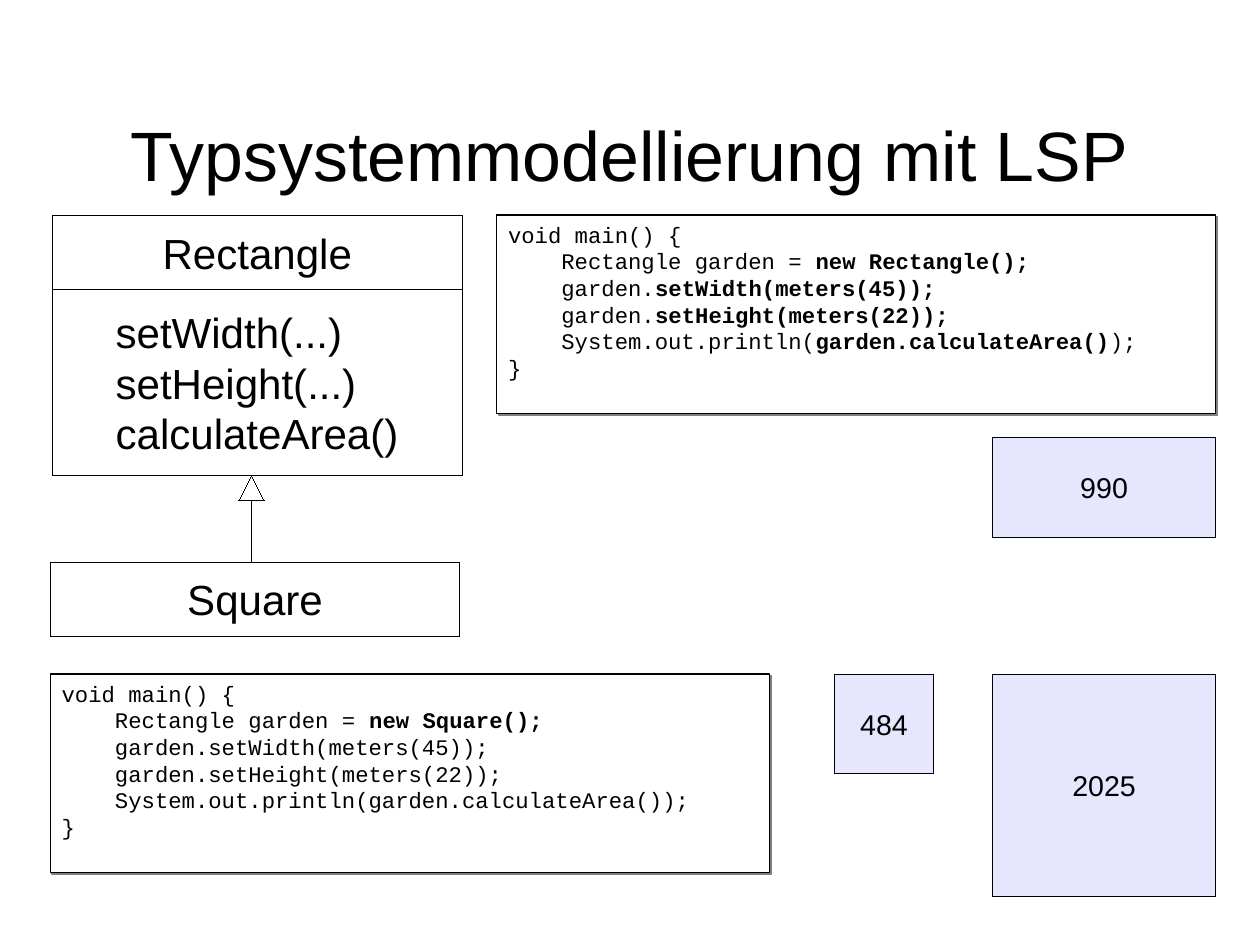
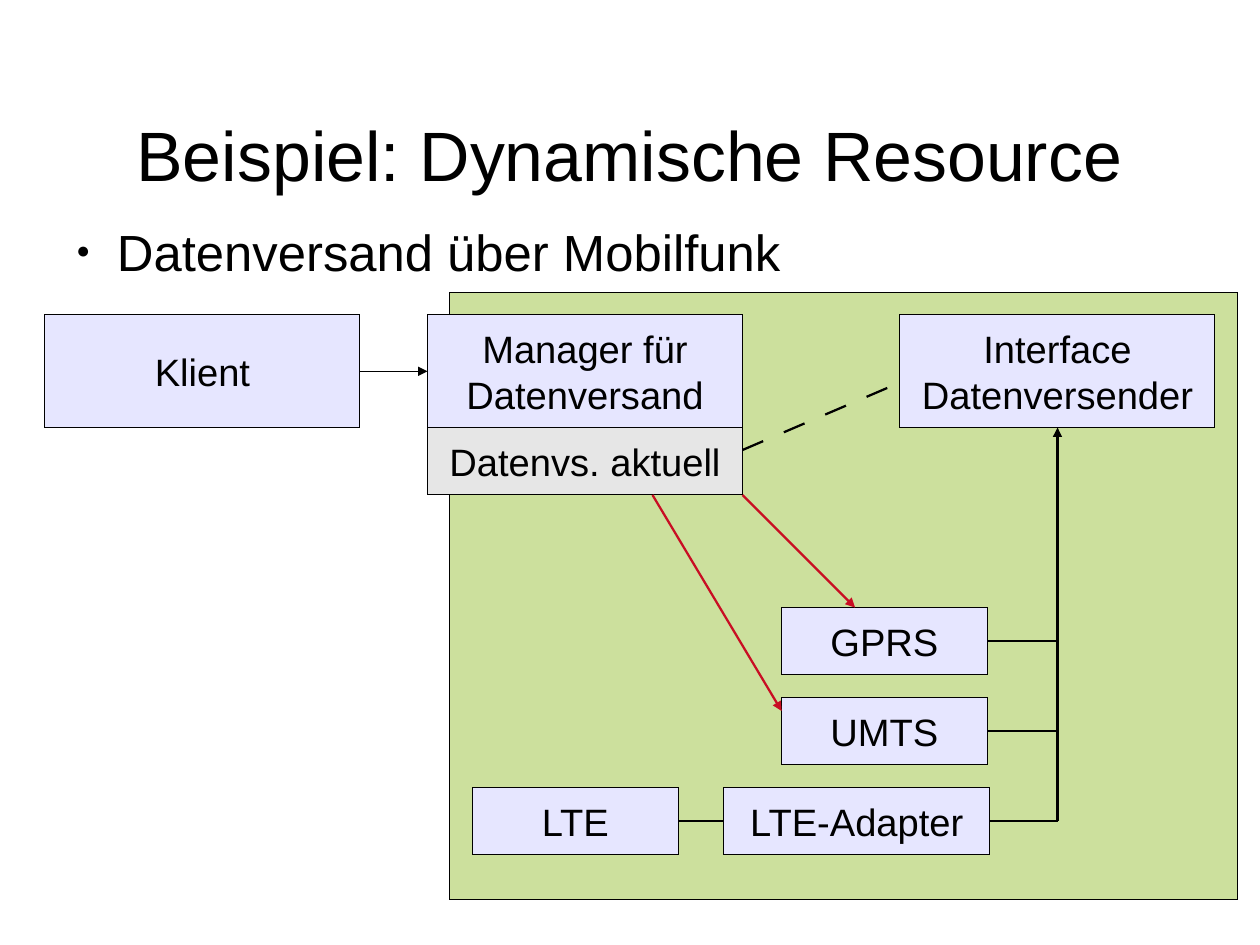
from dataclasses import dataclass
from typing import NamedTuple

from lxml.etree import SubElement
from pptx import Presentation
from pptx.dml.color import RGBColor
from pptx.enum.shapes import MSO_CONNECTOR as Link, MSO_SHAPE as Preset
from pptx.enum.text import MSO_ANCHOR as Anchor, PP_ALIGN as Align
from pptx.oxml.ns import qn
from pptx.util import Pt

PX = 3600
COLORS = {
    "ink": "000000",
    "paper": "FFFFFF",
    "lavender": "E6E6FF",
    "grey": "E6E6E6",
    "green": "9AC33D",
    "red": "C80E23",
    "shadow": "808080",
}
SANS, MONO = "Arial", "Courier New"
TOP, LEFT, BOTTOM, RIGHT = range(4)
HAIRLINE, THIN, THICK = 0, 0.75, 1.42


class Frame(NamedTuple):
    left: int
    top: int
    width: int
    height: int

    def side(self, site: int) -> tuple[int, int]:
        middle_x = self.left + self.width // 2
        middle_y = self.top + self.height // 2
        return (
            (middle_x, self.top),
            (self.left, middle_y),
            (middle_x, self.top + self.height),
            (self.left + self.width, middle_y),
        )[site]


class Span(NamedTuple):
    text: str
    bold: bool = False


@dataclass(frozen=True)
class TextStyle:
    size: float
    font: str = SANS
    align: Align = Align.CENTER
    anchor: Anchor = Anchor.MIDDLE
    margins: tuple[int, int, int, int] = (25, 13, 25, 13)


@dataclass(frozen=True)
class Box:
    frame: Frame
    lines: tuple
    style: TextStyle
    fill: str = "lavender"
    line_width: float = HAIRLINE
    shadow: bool = False


@dataclass(frozen=True)
class Wire:
    start: tuple
    end: tuple
    color: str = "ink"
    width: float = THICK
    arrow: bool = False
    dashed: bool = False


TITLE = TextStyle(44, anchor=Anchor.BOTTOM, margins=(0, 0, 0, 0))
BULLET = TextStyle(32, align=Align.LEFT, anchor=Anchor.TOP, margins=(0, 0, 0, 0))
RESULT = TextStyle(18)
CLASS_NAME = TextStyle(26.5)
METHODS = TextStyle(26.5, align=Align.LEFT, margins=(140, 13, 25, 13))
CODE = TextStyle(14, MONO, Align.LEFT, Anchor.TOP)
NODE = TextStyle(24)


def color(name: str) -> RGBColor:
    return RGBColor.from_string(COLORS[name])


def scaled(*lengths: int) -> list[int]:
    return [length * PX for length in lengths]


def write_text(shape, lines: tuple, style: TextStyle) -> None:
    text = shape.text_frame
    text.word_wrap = True
    text.vertical_anchor = style.anchor
    (text.margin_left, text.margin_top,
     text.margin_right, text.margin_bottom) = scaled(*style.margins)
    for index, line in enumerate(lines):
        para = text.add_paragraph() if index else text.paragraphs[0]
        para.alignment = style.align
        for span in (Span(line),) if isinstance(line, str) else line:
            run = para.add_run()
            run.text = span.text
            run.font.size = Pt(style.size)
            run.font.name = style.font
            run.font.bold = span.bold
            run.font.color.rgb = color("ink")


def add_text(page, frame: Frame, line: str, style: TextStyle):
    box = page.shapes.add_textbox(*scaled(*frame))
    write_text(box, (line,), style)
    return box


def add_bullet(page, frame: Frame, line: str) -> None:
    para = add_text(page, frame, line, BULLET).text_frame.paragraphs[0]
    props = para._p.get_or_add_pPr()
    props.set("marL", str(120 * PX))
    props.set("indent", str(-90 * PX))
    SubElement(props, qn("a:buSzPct"), val="45000")
    SubElement(props, qn("a:buFont"), typeface=SANS)
    SubElement(props, qn("a:buChar"), char="●")


def set_outline(shape, name: str, width: float):
    shape.line.color.rgb = color(name)
    outline = shape.line._get_or_add_ln()
    outline.set("w", str(Pt(width)))
    return outline


def add_shape(page, frame: Frame, fill: str, line_width: float = HAIRLINE,
              preset: Preset = Preset.RECTANGLE):
    shape = page.shapes.add_shape(preset, *scaled(*frame))
    shape.shadow.inherit = False
    shape.fill.solid()
    shape.fill.fore_color.rgb = color(fill)
    set_outline(shape, "ink", line_width)
    return shape


def add_shadow(shape) -> None:
    effects = shape._element.spPr.find(qn("a:effectLst"))
    outer = SubElement(effects, qn("a:outerShdw"), blurRad="0",
                       dist=str(Pt(1.4)), dir="2700000", algn="tl", rotWithShape="0")
    SubElement(outer, qn("a:srgbClr"), val=COLORS["shadow"])


def add_box(page, box: Box):
    shape = add_shape(page, box.frame, box.fill, box.line_width)
    if box.shadow:
        add_shadow(shape)
    write_text(shape, box.lines, box.style)
    return shape


def add_boxes(page, boxes: dict[str, Box]) -> dict:
    return {name: add_box(page, box) for name, box in boxes.items()}


def add_wire(page, wire: Wire, boxes: dict[str, Box], shapes: dict) -> None:
    ends = [boxes[end[0]].frame.side(end[1]) if end[0] in boxes else end
            for end in (wire.start, wire.end)]
    connector = page.shapes.add_connector(Link.STRAIGHT, *scaled(*ends[0], *ends[1]))
    if wire.start[0] in shapes:
        connector.begin_connect(shapes[wire.start[0]], wire.start[1])
    if wire.end[0] in shapes:
        connector.end_connect(shapes[wire.end[0]], wire.end[1])
    outline = set_outline(connector, wire.color, wire.width)
    if wire.dashed:
        pattern = SubElement(outline, qn("a:custDash"))
        SubElement(pattern, qn("a:ds"), d="1000000", sp="1000000")
    if wire.arrow:
        SubElement(outline, qn("a:tailEnd"), type="triangle")
    SubElement(connector._element.spPr, qn("a:effectLst"))


def add_page(deck, title: str):
    page = deck.slides.add_slide(deck.slide_layouts[6])
    add_text(page, Frame(140, 84, 2520, 350), title, TITLE)
    return page


def code_box(left: int, top: int, lines: tuple) -> Box:
    return Box(Frame(left, top, 1598, 441), lines, CODE, "paper", THIN, True)


def build_type_system(deck) -> None:
    page = add_page(deck, "Typsystemmodellierung mit LSP")
    boxes = {
        "rectangle area": Box(Frame(2206, 973, 495, 221), ("990",), RESULT),
        "small square area": Box(Frame(1854, 1498, 221, 221), ("484",), RESULT),
        "large square area": Box(Frame(2206, 1498, 495, 495), ("2025",), RESULT),
        "rectangle": Box(Frame(117, 478, 910, 165), ("Rectangle",), CLASS_NAME, "paper"),
        "methods": Box(Frame(117, 643, 910, 413),
                       ("setWidth(...)", "setHeight(...)", "calculateArea()"),
                       METHODS, "paper"),
        "square": Box(Frame(112, 1249, 910, 165), ("Square",), CLASS_NAME, "paper"),
        "rectangle code": code_box(1104, 478, (
            "void main() {",
            (Span("    Rectangle garden = "), Span("new Rectangle();", True)),
            (Span("    garden."), Span("setWidth(meters(45));", True)),
            (Span("    garden."), Span("setHeight(meters(22));", True)),
            (Span("    System.out.println("), Span("garden.calculateArea()", True),
             Span(");")),
            "}",
        )),
        "square code": code_box(112, 1498, (
            "void main() {",
            (Span("    Rectangle garden = "), Span("new Square();", True)),
            "    garden.setWidth(meters(45));",
            "    garden.setHeight(meters(22));",
            "    System.out.println(garden.calculateArea());",
            "}",
        )),
    }
    shapes = add_boxes(page, boxes)
    arrowhead = Frame(531, 1057, 56, 56)
    add_shape(page, arrowhead, "paper", preset=Preset.ISOSCELES_TRIANGLE)
    foot = arrowhead.side(BOTTOM)
    add_wire(page, Wire((foot[0], 1249), foot, width=HAIRLINE), boxes, shapes)


def build_dynamic_resource(deck) -> None:
    page = add_page(deck, "Beispiel: Dynamische Resource")
    add_bullet(page, Frame(140, 490, 2520, 157), "Datenversand über Mobilfunk")
    area = add_shape(page, Frame(1000, 650, 1750, 1350), "green")
    fill_color = area._element.spPr.find(qn("a:solidFill"))[0]
    SubElement(fill_color, qn("a:alpha"), val="50000")

    boxes = {
        "client": Box(Frame(100, 700, 700, 250), ("Klient",), NODE),
        "manager": Box(Frame(950, 700, 700, 250), ("Manager für", "Datenversand"), NODE),
        "interface": Box(Frame(2000, 700, 700, 250), ("Interface", "Datenversender"), NODE),
        "current": Box(Frame(950, 950, 700, 150), ("Datenvs. aktuell",), NODE, "grey"),
        "gprs": Box(Frame(1737, 1350, 457, 150), ("GPRS",), NODE),
        "umts": Box(Frame(1737, 1550, 457, 150), ("UMTS",), NODE),
        "adapter": Box(Frame(1608, 1750, 592, 150), ("LTE-Adapter",), NODE),
        "lte": Box(Frame(1050, 1750, 457, 150), ("LTE",), NODE),
    }
    shapes = add_boxes(page, boxes)
    trunk = boxes["interface"].frame.side(BOTTOM)[0]
    exits = {name: boxes[name].frame.side(RIGHT)[1] for name in ("gprs", "umts", "adapter")}
    wires = [Wire((name, RIGHT), (trunk, level)) for name, level in exits.items()]
    wires += [
        Wire((trunk, exits["adapter"]), ("interface", BOTTOM), arrow=True),
        Wire(("lte", RIGHT), ("adapter", LEFT)),
        Wire(("client", RIGHT), ("manager", LEFT), width=HAIRLINE, arrow=True),
        Wire((1650, 1100), (1900, 1350), "red", arrow=True),
        Wire((1450, 1100), (1737, 1580), "red", arrow=True),
        Wire((1650, 1000), (2000, 850), dashed=True),
    ]
    for wire in wires:
        add_wire(page, wire, boxes, shapes)


def main() -> None:
    deck = Presentation()
    deck.slide_width, deck.slide_height = scaled(2800, 2100)
    build_type_system(deck)
    build_dynamic_resource(deck)
    deck.save("out.pptx")


if __name__ == "__main__":
    main()
